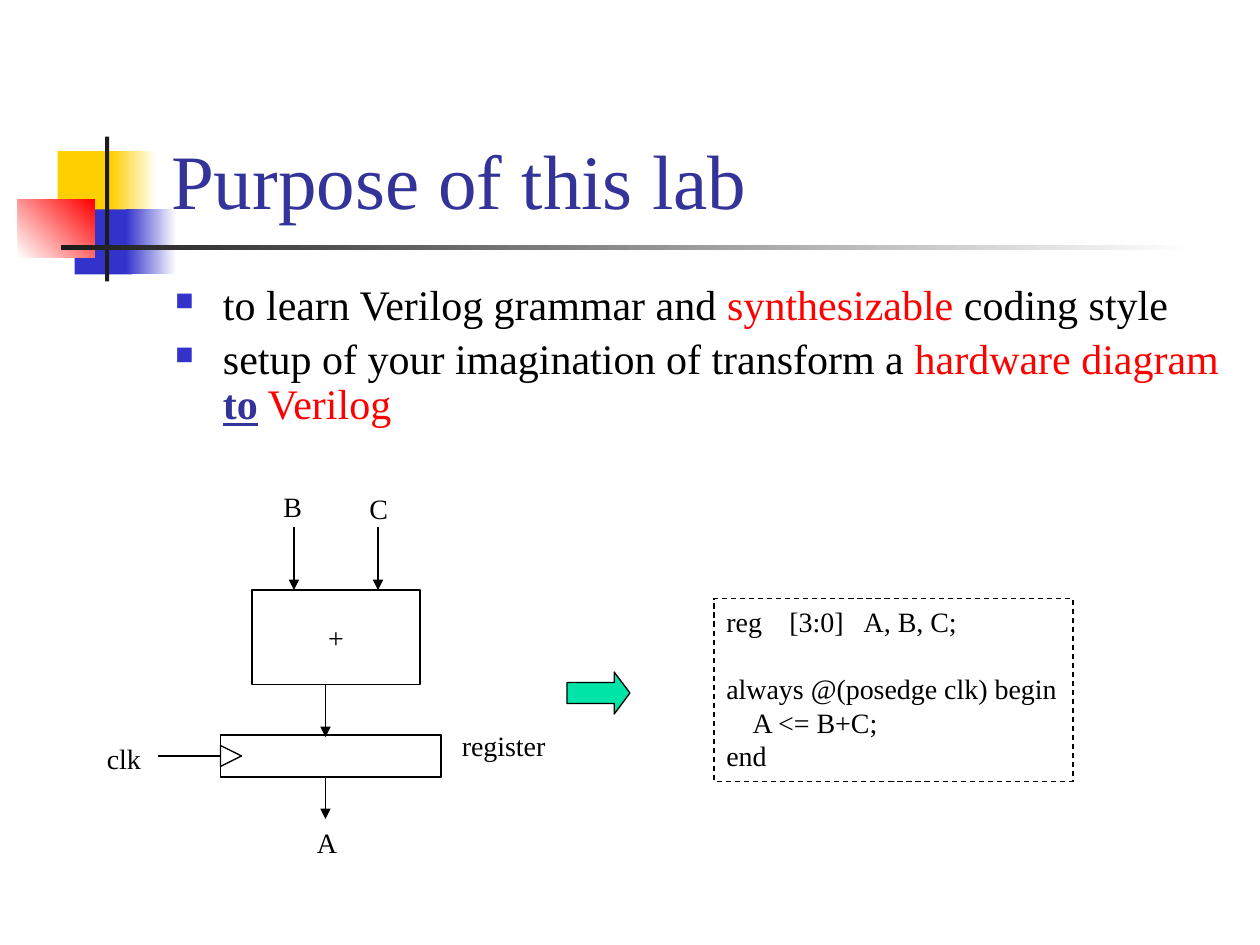
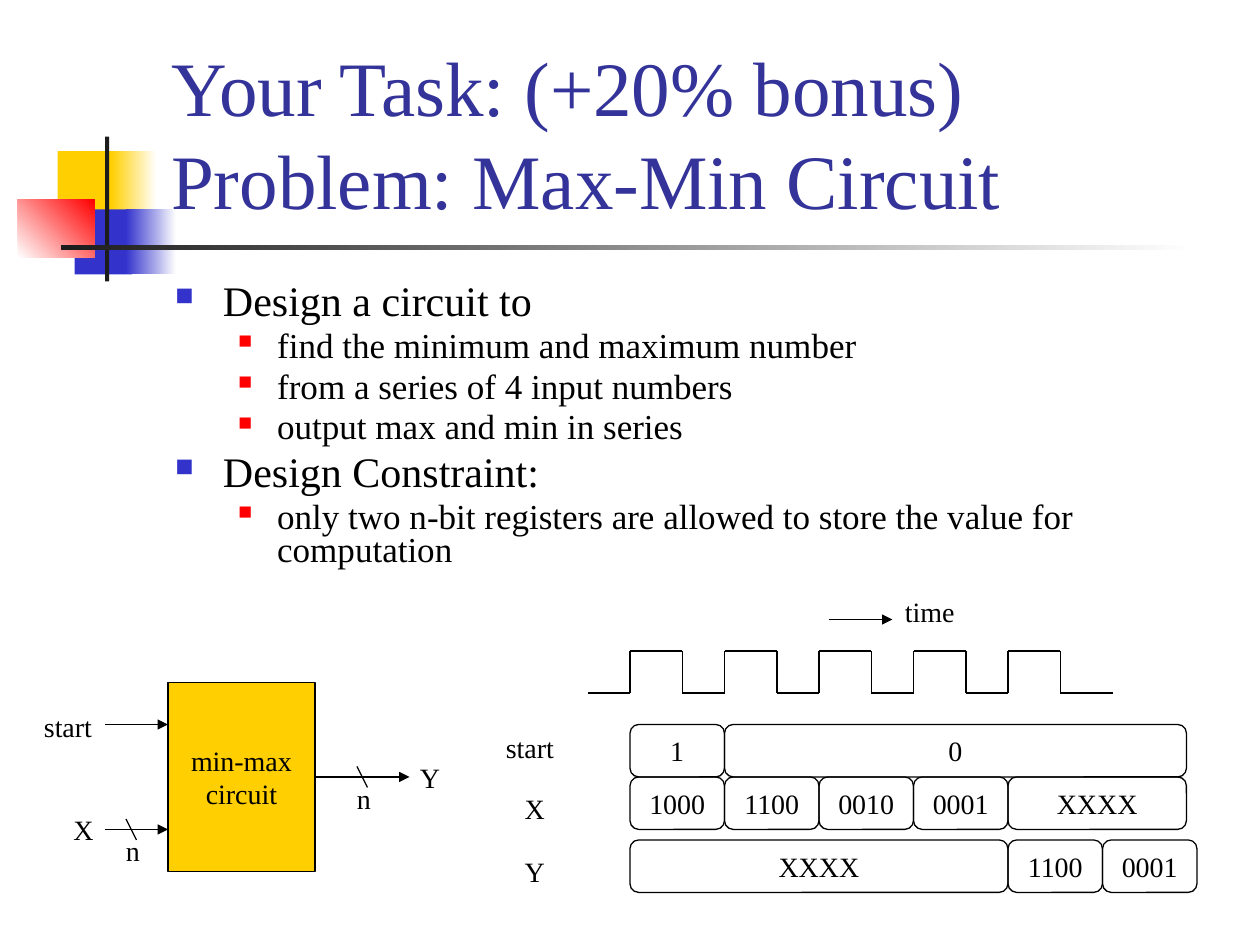
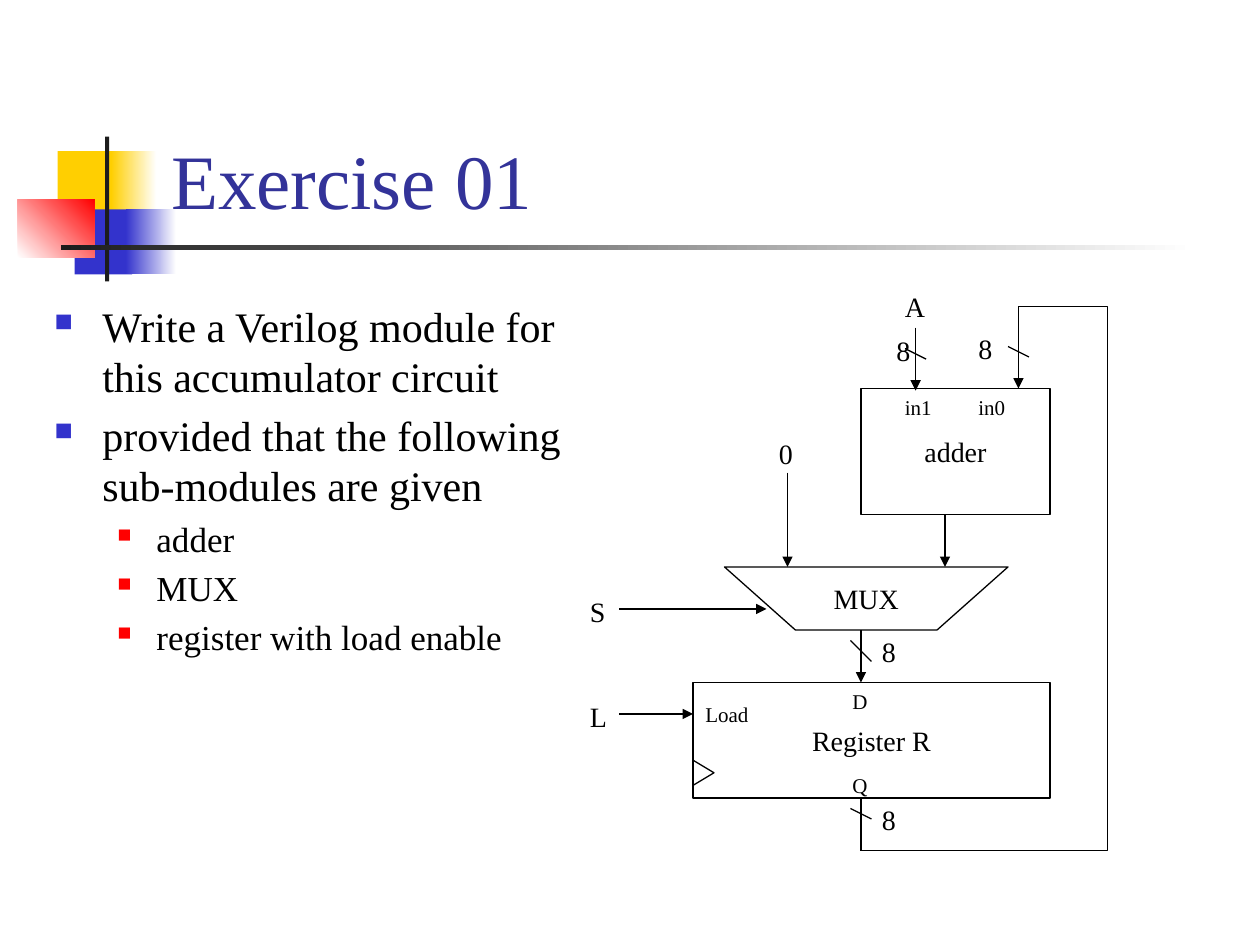
import itertools

import pptx
import pptx.dml.color
import pptx.enum.dml
import pptx.enum.shapes
import pptx.enum.text
import pptx.oxml.ns
import pptx.util
from lxml import etree

FONT = "Times New Roman"
COLUMNS, ROWS = 120, 90
COLORS = {
    "ink": "000000",
    "white": "FFFFFF",
    "title": "333399",
    "blue": "3333CC",
    "red": "FF0000",
    "yellow": "FFCF01",
    "charcoal": "1C1C1C",
    "green": "00E4A8",
}
# size, left margin and hanging indent in inches, bullet colour, bullet size
LEVELS = [(24, 0.38, 0.38, "blue", 60), (20, 0.81, 0.31, "red", 55)]

SHAPE = pptx.enum.shapes.MSO_SHAPE
CONNECTOR = pptx.enum.shapes.MSO_CONNECTOR
ALIGN = pptx.enum.text.PP_ALIGN
ANCHOR = pptx.enum.text.MSO_ANCHOR
AUTO_SIZE = pptx.enum.text.MSO_AUTO_SIZE
LEFT_SIDE, RIGHT_SIDE = 1, 3


def rgb(color):
    return pptx.dml.color.RGBColor.from_string(COLORS[color])


def add_xml(parent, tag, **attributes):
    return etree.SubElement(parent, pptx.oxml.ns.qn(tag), attributes)


class Deck:
    """Holds the shared style and the slide being drawn on a 120 by 90 grid."""

    def __init__(self):
        self.prs = pptx.Presentation()
        self.prs.slide_width = pptx.util.Inches(10)
        self.prs.slide_height = pptx.util.Inches(7.5)
        self.layout = self.prs.slide_layouts[5]
        self.slide = None

    def x(self, columns):
        return round(self.prs.slide_width * columns / COLUMNS)

    def y(self, rows):
        return round(self.prs.slide_height * rows / ROWS)

    def box(self, left, top, width, height):
        return self.x(left), self.y(top), self.x(width), self.y(height)

    def start_slide(self, *title_lines):
        first = self.slide is None
        self.slide = self.prs.slides.add_slide(self.layout)
        if first:
            self.decorate_layout()
        title = self.slide.shapes.title
        title.left, title.top, title.width, title.height = self.box(15.1, 2.8, 102.2, 19.2)
        frame = title.text_frame
        frame.auto_size = AUTO_SIZE.NONE
        frame.vertical_anchor = ANCHOR.BOTTOM
        paragraph = frame.paragraphs[0]
        paragraph.alignment = ALIGN.LEFT
        for number, line in enumerate(title_lines):
            if number:
                paragraph.add_line_break()
            self.run(paragraph, line, 44, "title")

    def decorate_layout(self):
        """Put the coloured squares and rules behind every slide of the layout."""
        parts = [
            (5.5, 14.4, 5.8, 6.2, "yellow", None, 0),
            (10.6, 14.4, 4.3, 6.2, "yellow", "white", 0),
            (7.1, 19.95, 5.5, 6.2, "blue", None, 0),
            (12, 19.95, 4.8, 6.2, "blue", "white", 0),
            (1.7, 19, 7.3, 5.5, "white", "red", 45),
            (10, 13, 0.4, 13.8, "charcoal", None, 0),
            (5.8, 23.35, 108, 0.45, "charcoal", "white", 0),
        ]
        for left, top, width, height, color, fade, angle in parts:
            part = self.shape(SHAPE.RECTANGLE, left, top, width, height, fill=color, line=None)
            if fade:
                part.fill.gradient()
                part.fill.gradient_angle = angle
                for stop, stop_color in zip(part.fill.gradient_stops, (color, fade)):
                    stop.color.rgb = rgb(stop_color)
            self.layout.shapes.element.append(part.element)

    def run(self, paragraph, text, size=16, color="ink", strong=False):
        run = paragraph.add_run()
        run.text = text
        run.font.name = FONT
        run.font.size = pptx.util.Pt(size)
        run.font.color.rgb = rgb(color)
        if strong:
            run.font.bold = run.font.underline = True

    def paragraphs(self, frame, count):
        return [frame.paragraphs[0]] + [frame.add_paragraph() for _ in range(count - 1)]

    def finish(self, shape, fill=None, line="ink", lines=()):
        """Apply the flat style and write centred lines of text."""
        shape.shadow.inherit = False
        if fill:
            shape.fill.solid()
            shape.fill.fore_color.rgb = rgb(fill)
        else:
            shape.fill.background()
        if line:
            shape.line.color.rgb = rgb(line)
            shape.line.width = pptx.util.Pt(0.75)
        else:
            shape.line.fill.background()
        if lines:
            frame = shape.text_frame
            frame.word_wrap = False
            frame.vertical_anchor = ANCHOR.MIDDLE
            for paragraph, text in zip(self.paragraphs(frame, len(lines)), lines):
                paragraph.alignment = ALIGN.CENTER
                self.run(paragraph, text)
        return shape

    def shape(self, kind, left, top, width, height, *lines, fill=None, line="ink"):
        shape = self.slide.shapes.add_shape(kind, *self.box(left, top, width, height))
        return self.finish(shape, fill, line, lines)

    def block(self, left, top, width, height, *lines, fill=None):
        return self.shape(SHAPE.RECTANGLE, left, top, width, height, *lines, fill=fill)

    def clock_input(self, left, top, width, height):
        self.shape(SHAPE.ISOSCELES_TRIANGLE, left, top, width, height).rotation = 90

    def outline(self, points, text):
        corners = [(self.x(column), self.y(row)) for column, row in points]
        builder = self.slide.shapes.build_freeform(*corners[0])
        builder.add_line_segments(corners[1:], close=True)
        return self.finish(builder.convert_to_shape(), lines=[text])

    def label(self, text, left, top, width, size=16):
        height = 4.4 if size == 16 else 3.6
        frame = self.slide.shapes.add_textbox(*self.box(left, top, width, height)).text_frame
        frame.word_wrap = False
        frame.auto_size = AUTO_SIZE.SHAPE_TO_FIT_TEXT
        self.run(frame.paragraphs[0], text, size)

    def line(self, start, end, arrow=False, kind=CONNECTOR.STRAIGHT, begin_at=None, end_at=None):
        """Join two grid points; begin_at and end_at are (shape, side) pairs."""
        line = self.slide.shapes.add_connector(
            kind, self.x(start[0]), self.y(start[1]), self.x(end[0]), self.y(end[1]))
        if begin_at:
            line.begin_connect(*begin_at)
        if end_at:
            line.end_connect(*end_at)
        line.line.color.rgb = rgb("ink")
        line.line.width = pptx.util.Pt(0.75)
        properties = line.element.spPr
        if arrow:
            add_xml(properties.find(pptx.oxml.ns.qn("a:ln")), "a:tailEnd", type="triangle")
        add_xml(properties, "a:effectLst")
        return line

    def arrow(self, start, end, **joins):
        return self.line(start, end, arrow=True, **joins)

    def feedback(self, start, end, right, top):
        """Elbow that runs out to column right, up to row top and back to end."""
        line = self.line(start, end, kind=CONNECTOR.ELBOW)
        geometry = line.element.spPr.find(pptx.oxml.ns.qn("a:prstGeom"))
        geometry.set("prst", "bentConnector5")
        guides = geometry.find(pptx.oxml.ns.qn("a:avLst"))
        shares = [(right - start[0]) / (end[0] - start[0]),
                  (top - start[1]) / (end[1] - start[1]), 1]
        for number, share in enumerate(shares, 1):
            add_xml(guides, "a:gd", name=f"adj{number}", fmla=f"val {round(share * 100000)}")

    def bullets(self, left, top, width, height, items, spacing=1.0):
        """Each item is a level followed by runs: text or (text, colour, strong)."""
        frame = self.slide.shapes.add_textbox(*self.box(left, top, width, height)).text_frame
        frame.word_wrap = True
        for paragraph, (level, *runs) in zip(self.paragraphs(frame, len(items)), items):
            size, margin, hang, color, percent = LEVELS[level]
            paragraph.level = level
            paragraph.line_spacing = spacing
            paragraph.space_before = pptx.util.Pt(size * 0.2)
            properties = paragraph._p.get_or_add_pPr()
            properties.set("marL", str(pptx.util.Inches(margin)))
            properties.set("indent", str(-pptx.util.Inches(hang)))
            add_xml(add_xml(properties, "a:buClr"), "a:srgbClr", val=COLORS[color])
            add_xml(properties, "a:buSzPct", val=str(percent * 1000))
            add_xml(properties, "a:buChar", char="■")
            for run in runs:
                text, *style = (run,) if isinstance(run, str) else run
                self.run(paragraph, text, size, *style)

    def code(self, left, top, width, height, lines, tabs):
        """Each line is its text, its indent and the gap above it, both in points."""
        frame_box = self.block(left, top, width, height)
        frame_box.line.dash_style = pptx.enum.dml.MSO_LINE.DASH
        frame = frame_box.text_frame
        frame.word_wrap = False
        frame.vertical_anchor = ANCHOR.TOP
        for paragraph, (text, indent, gap) in zip(self.paragraphs(frame, len(lines)), lines):
            paragraph.alignment = ALIGN.LEFT
            paragraph.space_before = pptx.util.Pt(gap)
            properties = paragraph._p.get_or_add_pPr()
            properties.set("marL", str(pptx.util.Pt(indent)))
            if "\t" in text:
                stops = add_xml(properties, "a:tabLst")
                for tab in tabs:
                    add_xml(stops, "a:tab", pos=str(pptx.util.Inches(tab)), algn="l")
            self.run(paragraph, text)


def purpose_slide(deck):
    deck.start_slide("Purpose of this lab")
    deck.bullets(15.5, 26.5, 102, 15.5, [
        (0, "to learn Verilog grammar and ", ("synthesizable", "red"), " coding style"),
        (0, "setup of your imagination of transform a ", ("hardware diagram ", "red"),
         ("to", "title", True), (" Verilog", "red")),
    ], spacing=0.9)

    deck.block(24, 56.2, 16, 9, "+")
    for column in (28, 36):
        deck.arrow((column, 50.2), (column, 56.2))
    deck.arrow((31, 65.2), (31, 70.2))
    register = deck.block(21, 70, 21, 4)
    deck.clock_input(21, 71, 2, 2)
    deck.arrow((31, 74), (31, 78))
    deck.line((15, 72), (21, 72), end_at=(register, LEFT_SIDE))
    for text, left, top, width in [
        ("B", 25.8, 46, 4.2), ("C", 34, 46.2, 4.2), ("A", 29, 78, 4.3),
        ("clk", 9, 70, 5.8), ("register", 42.8, 68.8, 10.4),
    ]:
        deck.label(text, left, top, width)

    deck.code(68, 57, 34.2, 17.4, [
        ("reg\t[3:0]\tA, B, C;", 0, 0),
        ("always @(posedge clk) begin", 0, 19),
        ("A <= B+C;", 15, 0),
        ("end", 0, 0),
    ], tabs=(0.5, 1.09))
    becomes = deck.shape(SHAPE.RIGHT_ARROW, 54, 64, 6, 4, fill="green")
    becomes.adjustments[1] = 0.375


def task_slide(deck):
    deck.start_slide("Your Task: (+20% bonus)", "Problem: Max-Min Circuit")
    deck.bullets(15.5, 26.5, 102, 29.5, [
        (0, "Design a circuit to"),
        (1, "find the minimum and maximum number"),
        (1, "from a series of 4 input numbers"),
        (1, "output max and min in series"),
        (0, "Design Constraint:"),
        (1, "only two n-bit registers are allowed to store the value for computation"),
    ], spacing=0.8)

    circuit = deck.block(16, 65, 14, 18, "min-max", "circuit", fill="yellow")
    for row in (69, 79):
        deck.arrow((10, row), (16, row))
    deck.arrow((30, 74), (39, 74), begin_at=(circuit, RIGHT_SIDE))
    for column, row in [(12, 78), (34, 73)]:
        deck.line((column, row), (column + 1, row + 2))
        deck.label("n", column - 1.2, row + 0.8, 3.7)
    for text, left, top, width in [
        ("start", 3, 67, 7.1), ("X", 5.8, 76.8, 4.3), ("Y", 38.8, 71.8, 4.3),
        ("start", 47, 69, 7.1), ("X", 48.8, 74.8, 4.3), ("Y", 48.8, 80.8, 4.3),
        ("time", 85, 56, 7.2),
    ]:
        deck.label(text, left, top, width)
    deck.arrow((79, 59), (85, 59))

    first_edge, period, low, high = 60, 9, 66, 62
    clock = [(first_edge - 4, low)]
    for cycle in range(5):
        rise = first_edge + cycle * period
        fall = rise + 5
        clock += [(rise, low), (rise, high), (fall, high), (fall, low)]
    clock.append((106, low))
    for start, end in itertools.pairwise(clock):
        deck.line(start, end)

    signals = [
        (69, [("1", 9), ("0", 44)]),
        (74, [("1000", 9), ("1100", 9), ("0010", 9), ("0001", 9), ("XXXX", 17)]),
        (80, [("XXXX", 36), ("1100", 9), ("0001", 9)]),
    ]
    for row, values in signals:
        column = first_edge
        for value, width in values:
            deck.shape(SHAPE.ROUNDED_RECTANGLE, column, row, width, 5, value)
            column += width


def exercise_slide(deck):
    deck.start_slide("Exercise 01")
    deck.bullets(4, 28, 52, 37, [
        (0, "Write a Verilog module for this accumulator circuit"),
        (0, "provided that the following sub-modules are given"),
        (1, "adder"),
        (1, "MUX"),
        (1, "register with load enable"),
    ])

    deck.block(66, 65, 34, 11, "Register R")
    deck.clock_input(65.8, 72.6, 2.4, 2)
    deck.outline([(69, 54), (75.75, 60), (89.25, 60), (96, 54)], "MUX")
    deck.block(82, 37, 18, 12, "adder")
    for start, end in [
        ((82, 60), (82, 65)), ((90, 49), (90, 54)), ((75, 45), (75, 54)),
        ((87.2, 31.2), (87.2, 37.2)), ((97, 31), (97, 37)),
        ((59, 68), (66, 68)), ((59, 58), (73, 58)),
    ]:
        deck.arrow(start, end)
    deck.line((82, 76), (82, 81))
    deck.feedback((82, 81), (97, 31), right=105.5, top=29.2)
    for column, row, drop in [(86.2, 33.2, 1), (96, 33, 1), (81, 61, 2), (81, 77, 1)]:
        deck.line((column, row), (column + 2, row + drop))

    for text, left, top, width in [
        ("0", 73, 41, 3.7), ("8", 84.2, 31.2, 3.7), ("8", 92, 31, 3.7),
        ("8", 82.8, 59.8, 3.7), ("8", 82.8, 75.8, 3.7),
        ("A", 85, 27, 4.3), ("L", 55, 66, 4.1), ("S", 55, 56, 3.8),
    ]:
        deck.label(text, left, top, width)
    for text, left, top, width in [
        ("Load", 66, 66.2, 6.6), ("in1", 85, 37, 5), ("in0", 92, 37, 5),
        ("D", 80, 65, 3.8), ("Q", 80, 73, 3.8),
    ]:
        deck.label(text, left, top, width, size=12)


def main():
    deck = Deck()
    purpose_slide(deck)
    task_slide(deck)
    exercise_slide(deck)
    deck.prs.save("out.pptx")


if __name__ == "__main__":
    main()
